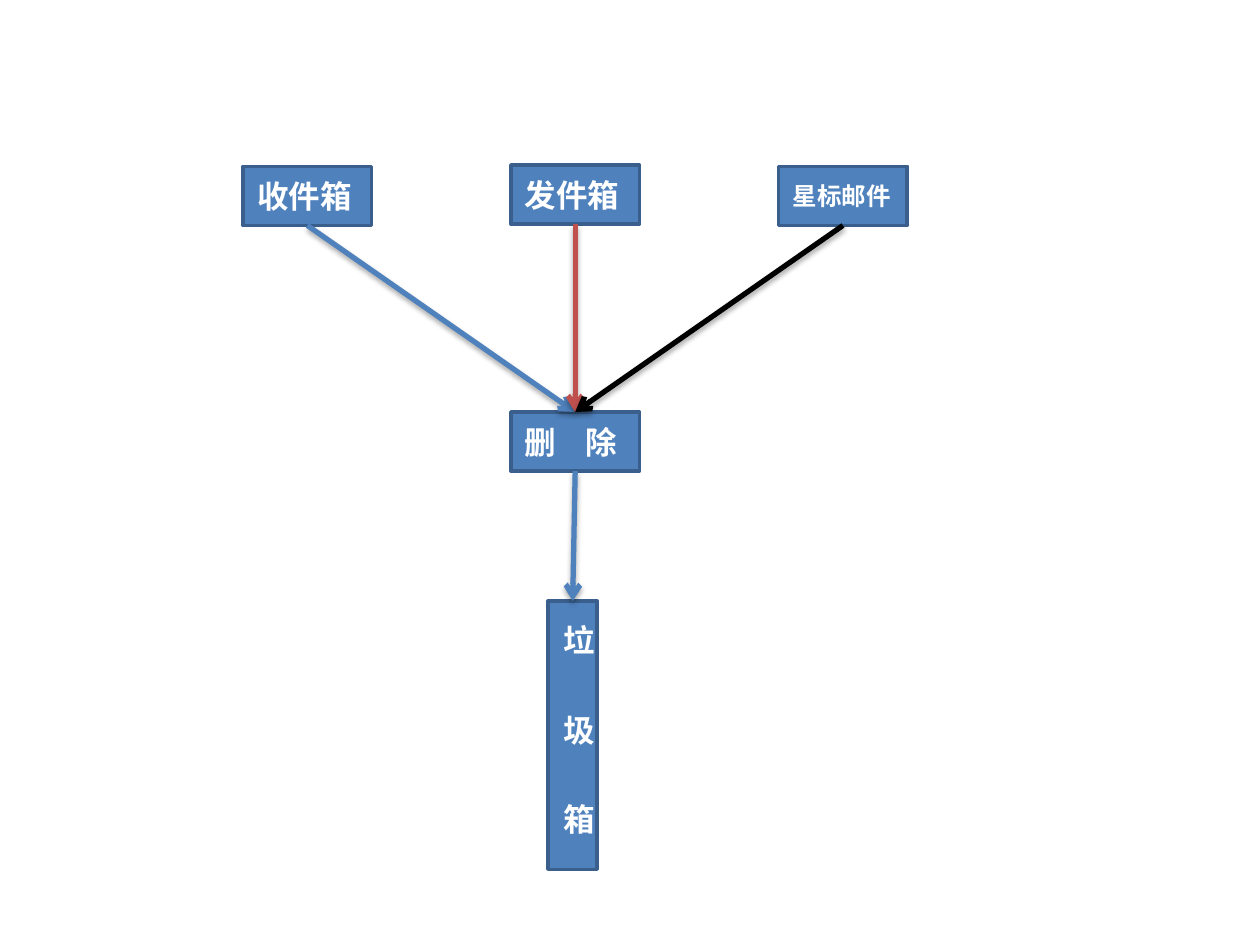
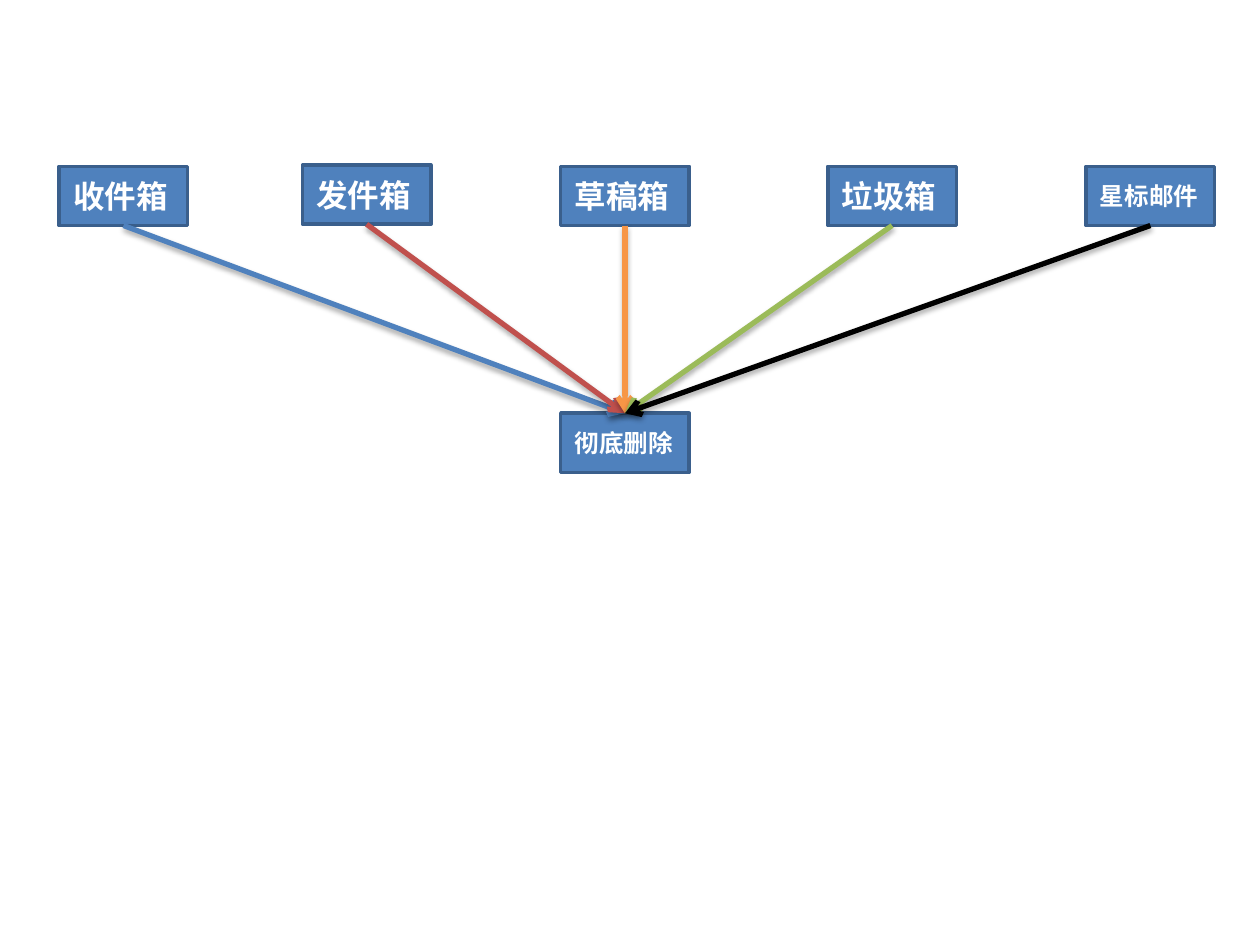
"""Builds two slides that show how mail moves between folders when it is deleted."""
from lxml.etree import SubElement
from pptx import Presentation
from pptx.dml.color import RGBColor
from pptx.enum.shapes import MSO_CONNECTOR, MSO_SHAPE
from pptx.enum.text import MSO_ANCHOR, PP_ALIGN
from pptx.oxml import parse_xml
from pptx.oxml.ns import nsdecls, qn
from pptx.util import Inches, Pt

BLUE, RED, ORANGE, GREEN, BLACK = "4F81BD", "C0504D", "F79646", "9BBB59", "000000"
BORDER, WHITE = "3A5F8C", "FFFFFF"
BLANK_LAYOUT = 6
TOP, BOTTOM = 0, 2
FOLDER_ROW, SENT_ROW = 13.2, 13.1
SHADOW = (
    f'<a:effectLst {nsdecls("a")}>'
    '<a:outerShdw blurRad="40000" dist="23000" dir="5400000" rotWithShape="0">'
    '<a:srgbClr val="000000"><a:alpha val="35000"/></a:srgbClr>'
    "</a:outerShdw></a:effectLst>"
)


def colour(hex_code):
    """Turn a hex string into a colour."""
    return RGBColor.from_string(hex_code)


class MailFlow:
    """Draws folder boxes and arrows on a grid of 100 columns and 75 rows."""

    font = "Calibri"
    box_size = (10.2, 4.7)

    def __init__(self):
        """Start an empty presentation."""
        self.deck = Presentation()
        self.deck.slide_width, self.deck.slide_height = Inches(10), Inches(7.5)
        self.slide = None

    def new_slide(self):
        """Add a blank slide and make it current."""
        self.slide = self.deck.slides.add_slide(self.deck.slide_layouts[BLANK_LAYOUT])

    def across(self, columns):
        """Length of a number of grid columns."""
        return round(self.deck.slide_width * columns / 100)

    def down(self, rows):
        """Length of a number of grid rows."""
        return round(self.deck.slide_height * rows / 75)

    def box(self, label, column, row, size=18, spread=0, extent=box_size, upright=False):
        """Add a labelled box, with spread as extra points between letters."""
        box = self.slide.shapes.add_shape(
            MSO_SHAPE.RECTANGLE, self.across(column), self.down(row),
            self.across(extent[0]), self.down(extent[1]))
        box.shadow.inherit = False
        box.fill.solid()
        box.fill.fore_color.rgb = colour(BLUE)
        box.line.color.rgb = colour(BORDER)
        box.line.width = Pt(2)

        frame = box.text_frame
        frame.word_wrap = True
        frame.margin_left = 0 if upright else self.across(1.1)
        frame.margin_top = self.down(1.9) if upright else 0
        frame.margin_right = frame.margin_bottom = 0
        frame.vertical_anchor = MSO_ANCHOR.TOP if upright else MSO_ANCHOR.MIDDLE
        if upright:
            frame._txBody.bodyPr.set("vert", "eaVert")

        frame.text = label
        paragraph = frame.paragraphs[0]
        paragraph.alignment = PP_ALIGN.LEFT
        font = paragraph.runs[0].font
        font.name, font.size, font.bold = self.font, Pt(size), True
        font.color.rgb = colour(WHITE)
        if spread:
            paragraph.runs[0]._r.get_or_add_rPr().set("spc", str(round(spread * 100)))
        return box

    def arrow(self, source, target, hex_code):
        """Join the bottom of one box to the top of another."""
        arrow = self.slide.shapes.add_connector(MSO_CONNECTOR.STRAIGHT, 0, 0, 0, 0)
        arrow.begin_connect(source, BOTTOM)
        arrow.end_connect(target, TOP)
        arrow.line.color.rgb = colour(hex_code)
        arrow.line.width = Pt(3)
        SubElement(arrow.line._get_or_add_ln(), qn("a:tailEnd"), type="arrow")
        arrow._element.spPr.append(parse_xml(SHADOW))

    def gather(self, folders, target):
        """Add a row of folders, each with an arrow to the target."""
        boxes = [self.box(label, column, row, size)
                 for label, column, row, size, _ in folders]
        for source, folder in zip(boxes, folders):
            self.arrow(source, target, folder[-1])


def delete_slide(flow):
    """Show folders whose deleted mail goes to the trash."""
    flow.new_slide()
    first, step = 19.3, 21.25
    delete = flow.box("删 除", first + step, 32.7, spread=6.4)
    trash = flow.box("垃 圾 箱", 43.5, 47.7, spread=14.5, extent=(3.9, 21.3), upright=True)
    flow.gather([
        ("收件箱", first, FOLDER_ROW, 18, BLUE),
        ("发件箱", first + step, SENT_ROW, 18, RED),
        ("星标邮件", first + 2 * step, FOLDER_ROW, 14, BLACK),
    ], delete)
    flow.arrow(delete, trash, BLUE)


def permanent_delete_slide(flow):
    """Show folders whose mail can be deleted for good."""
    flow.new_slide()
    centre = 44.5
    permanent_delete = flow.box("彻底删除", centre, 32.8, 14)
    flow.gather([
        ("收件箱", 4.7, FOLDER_ROW, 18, BLUE),
        ("发件箱", 24, SENT_ROW, 18, RED),
        ("草稿箱", centre, FOLDER_ROW, 18, ORANGE),
        ("垃圾箱", 65.7, FOLDER_ROW, 18, GREEN),
        ("星标邮件", 86.2, FOLDER_ROW, 14, BLACK),
    ], permanent_delete)


def main():
    """Build and save both slides."""
    flow = MailFlow()
    delete_slide(flow)
    permanent_delete_slide(flow)
    flow.deck.save("out.pptx")


if __name__ == "__main__":
    main()
